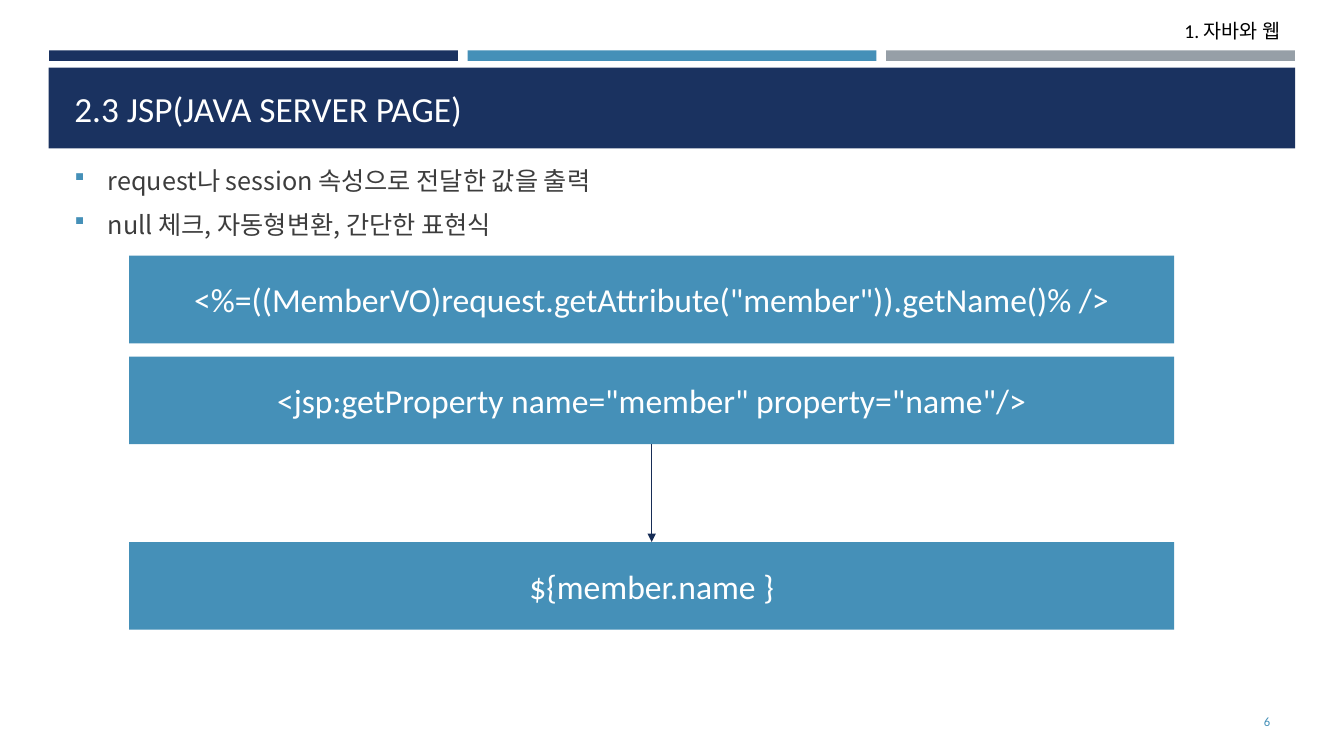
"""Build the JSP expression slide with its header bars, bullets and code boxes."""
import pptx
import pptx.dml.color
import pptx.enum.shapes
import pptx.enum.text
import pptx.oxml.ns
import pptx.util
from lxml import etree

Pt = pptx.util.Pt
qn = pptx.oxml.ns.qn
RGBColor = pptx.dml.color.RGBColor
ALIGN = pptx.enum.text.PP_ALIGN
ANCHOR = pptx.enum.text.MSO_ANCHOR
LATIN_FONT = "Calibri"
KOREAN_FONT = "Noto Sans CJK KR"
COLORS = {
    "navy": "1A3260",
    "blue": "4590B8",
    "gray": "969FA7",
    "arrow": "172D56",
    "body": "3D3D3D",
    "black": "000000",
    "white": "FFFFFF",
}

presentation = pptx.Presentation()
presentation.slide_width = Pt(960)
presentation.slide_height = Pt(540)
slide = presentation.slides.add_slide(presentation.slide_layouts[6])


def add_rectangle(left, top, width, height, color):
    shape = slide.shapes.add_shape(
        pptx.enum.shapes.MSO_SHAPE.RECTANGLE, Pt(left), Pt(top), Pt(width), Pt(height))
    shape.shadow.inherit = False
    shape.fill.solid()
    shape.fill.fore_color.rgb = RGBColor.from_string(COLORS[color])
    shape.line.fill.background()
    return shape


def write_text(text, shape=None, box=None, size=18, color="white", font=LATIN_FONT,
               align=ALIGN.LEFT, anchor=ANCHOR.TOP, bullet=False):
    if shape is None:
        shape = slide.shapes.add_textbox(*[Pt(length) for length in box])
    frame = shape.text_frame
    frame.word_wrap = True
    frame.vertical_anchor = anchor
    frame.text = text
    for paragraph in frame.paragraphs:
        paragraph.alignment = align
        run = paragraph.runs[0]
        run.font.size = Pt(size)
        run.font.name = font
        run.font.color.rgb = RGBColor.from_string(COLORS[color])
        east_asian = etree.SubElement(run.font._element, qn("a:ea"))
        east_asian.set("typeface", KOREAN_FONT)
        if bullet:
            paragraph.space_before = Pt(size * 0.2)
            paragraph.space_after = Pt(6)
            properties = paragraph._p.get_or_add_pPr()
            properties.set("marL", str(Pt(24)))
            properties.set("indent", str(-Pt(24)))
            bullet_color = etree.SubElement(properties, qn("a:buClr"))
            etree.SubElement(bullet_color, qn("a:srgbClr")).set("val", COLORS["blue"])
            etree.SubElement(properties, qn("a:buSzPct")).set("val", "92000")
            etree.SubElement(properties, qn("a:buFont")).set("typeface", "Wingdings")
            etree.SubElement(properties, qn("a:buChar")).set("char", "§")


for index, color in enumerate(["navy", "blue", "gray"]):
    add_rectangle(35 + index * 299, 36, 292, 7.5, color)
write_text("1. 자바와 웹", box=(630.7, 10, 291, 24.5), size=14, color="black",
           align=ALIGN.RIGHT)

add_rectangle(34.7, 48.4, 890.4, 57.6, "navy")
write_text("2.3 JSP(JAVA SERVER PAGE)", box=(46, 55.4, 868, 41), size=25.2,
           anchor=ANCHOR.BOTTOM)
write_text("request나 session 속성으로 전달한 값을 출력\nnull 체크, 자동형변환, 간단한 표현식",
           box=(46, 114.5, 868, 380), color="body", font=KOREAN_FONT, bullet=True)

code_left, code_width, code_height = 92.2, 746.6, 62.6
code_boxes = [
    (182.7, '<%=((MemberVO)request.getAttribute("member")).getName()% />'),
    (254.7, '<jsp:getProperty name="member" property="name"/>'),
    (387.2, "${member.name }"),
]
for top, code in code_boxes:
    code_box = add_rectangle(code_left, top, code_width, code_height, "blue")
    write_text(code, shape=code_box, size=24, align=ALIGN.CENTER, anchor=ANCHOR.MIDDLE)

center = Pt(code_left + code_width / 2)
arrow = slide.shapes.add_connector(
    pptx.enum.shapes.MSO_CONNECTOR.STRAIGHT,
    center, Pt(code_boxes[1][0] + code_height), center, Pt(code_boxes[2][0]))
arrow.line.width = Pt(1)
arrow.line.color.rgb = RGBColor.from_string(COLORS["arrow"])
etree.SubElement(arrow.line._get_or_add_ln(), qn("a:tailEnd")).set("type", "triangle")
etree.SubElement(arrow._element.spPr, qn("a:effectLst"))

write_text("6", box=(831.6, 501, 82.8, 29), size=9, color="blue", align=ALIGN.RIGHT,
           anchor=ANCHOR.MIDDLE)

presentation.save("out.pptx")
